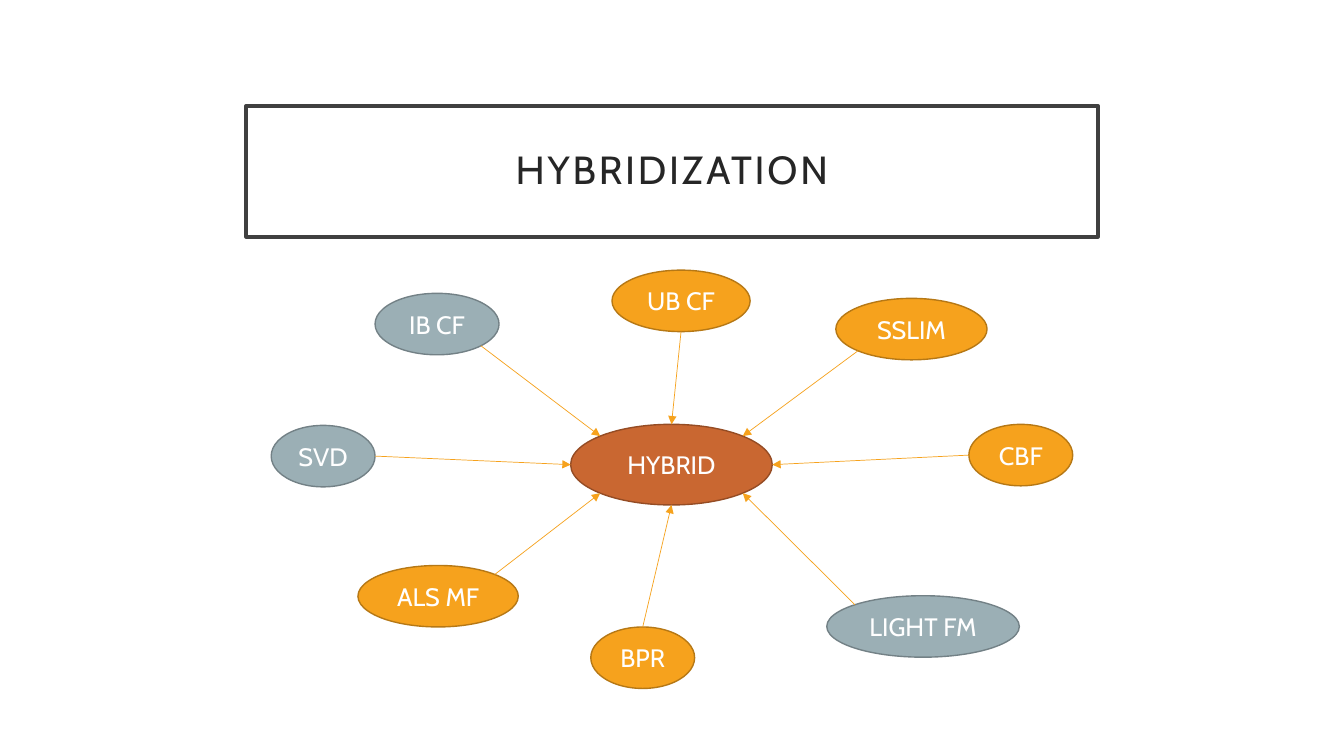
from math import cos, radians, sin

from pptx import Presentation
from pptx.dml.color import RGBColor
from pptx.enum.shapes import MSO_CONNECTOR, MSO_SHAPE
from pptx.enum.text import MSO_ANCHOR, PP_ALIGN
from pptx.oxml.ns import qn
from pptx.util import Inches, Pt
from lxml import etree

ELLIPSE = MSO_SHAPE.OVAL
STRAIGHT = MSO_CONNECTOR.STRAIGHT
MIDDLE = MSO_ANCHOR.MIDDLE
CENTER = PP_ALIGN.CENTER
TITLE_ONLY = 5

FONT = "Cabin"
COLORS = {
    "white": "FFFFFF", "title": "262626", "frame": "404040",
    "gray": "9BAFB5", "gray_line": "738186",
    "orange": "F6A21D", "orange_line": "B67815",
    "rust": "C96731", "rust_line": "954C24",
}

NODE_HEIGHT = 0.61
SITES = 8  # connection sites of an ellipse, counter-clockwise from the top
HUB = ("HYBRID", "rust", 2.97, 1.53, 2, 0.8)
# Label, color, left, top, width; in the order of the hub sites they point at
NODES = [
    ("UB CF", "orange", 3.38, 0, 1.37),
    ("IB CF", "gray", 1.03, 0.23, 1.23),
    ("SVD", "gray", 0, 1.54, 1.03),
    ("ALS MF", "orange", 0.86, 2.93, 1.59),
    ("BPR", "orange", 3.17, 3.54, 1.03),
    ("LIGHT FM", "gray", 5.51, 3.23, 1.91),
    ("CBF", "orange", 6.92, 1.53, 1.03),
    ("SSLIM", "orange", 5.6, 0.28, 1.5),
]


def color(name):
    """Return the named color."""
    return RGBColor.from_string(COLORS[name])


def set_attributes(target, values):
    """Set every attribute in a dict of format values."""
    for name, value in values.items():
        setattr(target, name, value)


def style_shape(shape, fill, line, line_width):
    """Give a shape a solid fill and outline."""
    shape.fill.solid()
    shape.fill.fore_color.rgb = color(fill)
    shape.line.color.rgb = color(line)
    shape.line.width = Pt(line_width)


def write_text(shape, text, size, text_color):
    """Write one centered line of text and return its paragraph."""
    shape.text_frame.vertical_anchor = MIDDLE
    paragraph = shape.text_frame.paragraphs[0]
    paragraph.alignment = CENTER
    run = paragraph.add_run()
    run.text = text
    set_attributes(run.font, {"name": FONT, "size": Pt(size)})
    run.font.color.rgb = color(text_color)
    return paragraph


def add_title(slide, text, left, top, width, height):
    """Place the framed title in the given box."""
    title = slide.shapes.title
    set_attributes(title, {
        "left": Inches(left), "top": Inches(top),
        "width": Inches(width), "height": Inches(height),
    })
    style_shape(title, "white", "frame", 2.5)
    margins = ("margin_left", "margin_top", "margin_right", "margin_bottom")
    set_attributes(title.text_frame, dict.fromkeys(margins, Inches(0.2)))
    paragraph = write_text(title, text, 28, "title")
    paragraph.line_spacing = 0.9
    paragraph.runs[0].font._element.set("spc", "200")


def add_node(slide, label, fill, left, top, width, height):
    """Add one labeled ellipse."""
    node = slide.shapes.add_shape(
        ELLIPSE, Inches(left), Inches(top), Inches(width), Inches(height))
    node.shadow.inherit = False
    style_shape(node, fill, f"{fill}_line", 1)
    node.text_frame.word_wrap = False
    write_text(node, label, 18, "white")
    return node


def site_point(node, site):
    """Return the point of a connection site on an ellipse."""
    angle = radians(90 + site * 360 / SITES)
    return (int(node.left + node.width / 2 * (1 + cos(angle))),
            int(node.top + node.height / 2 * (1 - sin(angle))))


def add_arrow(slide, node, hub, hub_site):
    """Join a node to a hub site from its opposite site, with an arrowhead."""
    node_site = (hub_site + SITES // 2) % SITES
    arrow = slide.shapes.add_connector(
        STRAIGHT, *site_point(node, node_site), *site_point(hub, hub_site))
    arrow.line.color.rgb = color("orange")
    arrow.line.width = Pt(0.5)
    etree.SubElement(arrow.line._get_or_add_ln(), qn("a:tailEnd"), type="triangle")
    etree.SubElement(arrow._element.spPr, qn("a:effectLst"))
    glue = arrow._element.find(".//" + qn("p:cNvCxnSpPr"))
    for tag, shape, site in (("a:stCxn", node, node_site), ("a:endCxn", hub, hub_site)):
        etree.SubElement(glue, qn(tag), id=str(shape.shape_id), idx=str(site))


def add_hub_diagram(slide, left, top):
    """Draw the nodes around the hub, from the given top left corner."""
    nodes = [add_node(slide, label, fill, left + x, top + y, width, NODE_HEIGHT)
             for label, fill, x, y, width in NODES]
    label, fill, x, y, width, height = HUB
    hub = add_node(slide, label, fill, left + x, top + y, width, height)
    for hub_site, node in enumerate(nodes):
        add_arrow(slide, node, hub, hub_site)


def main():
    """Build the slide and save it."""
    presentation = Presentation()
    presentation.slide_width = Inches(13.33)
    presentation.slide_height = Inches(7.5)
    slide = presentation.slides.add_slide(presentation.slide_layouts[TITLE_ONLY])
    add_title(slide, "HYBRIDIZATION", 2.44, 1.05, 8.45, 1.3)
    add_hub_diagram(slide, 2.69, 2.68)
    presentation.save("out.pptx")


main()
